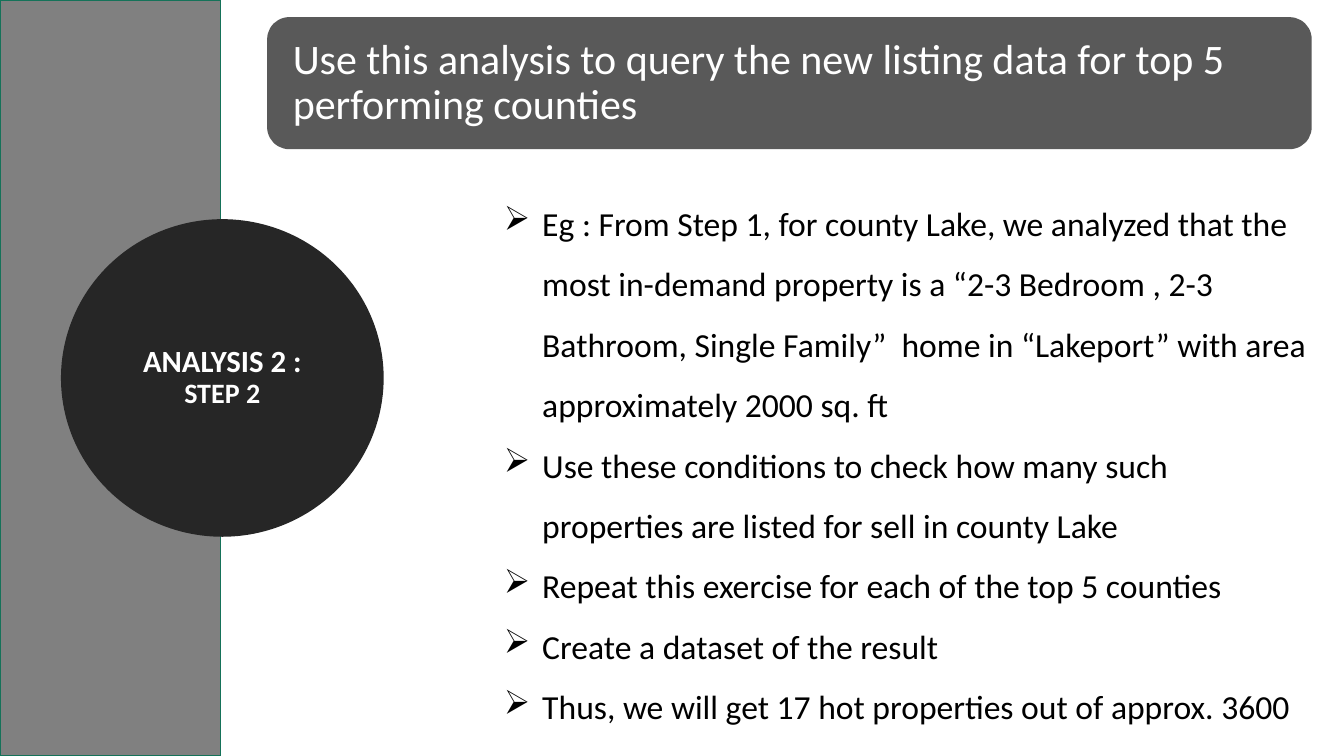
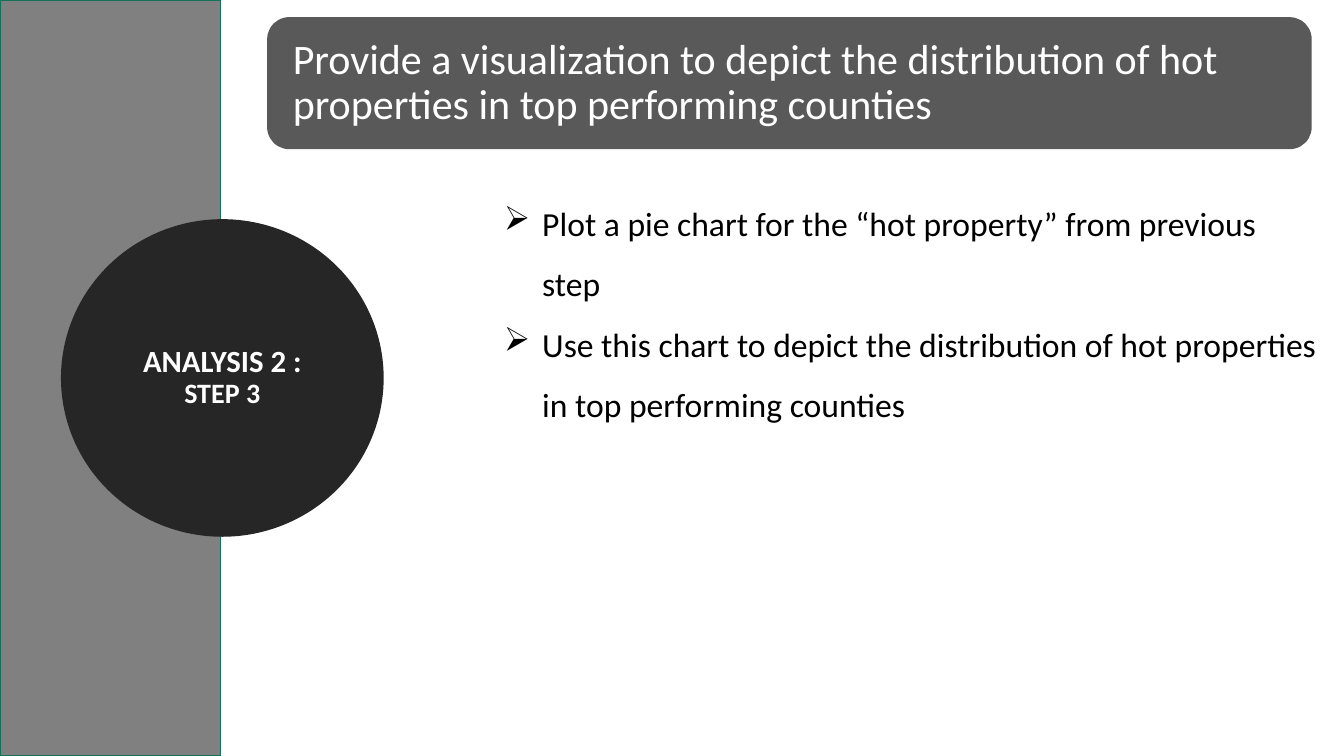
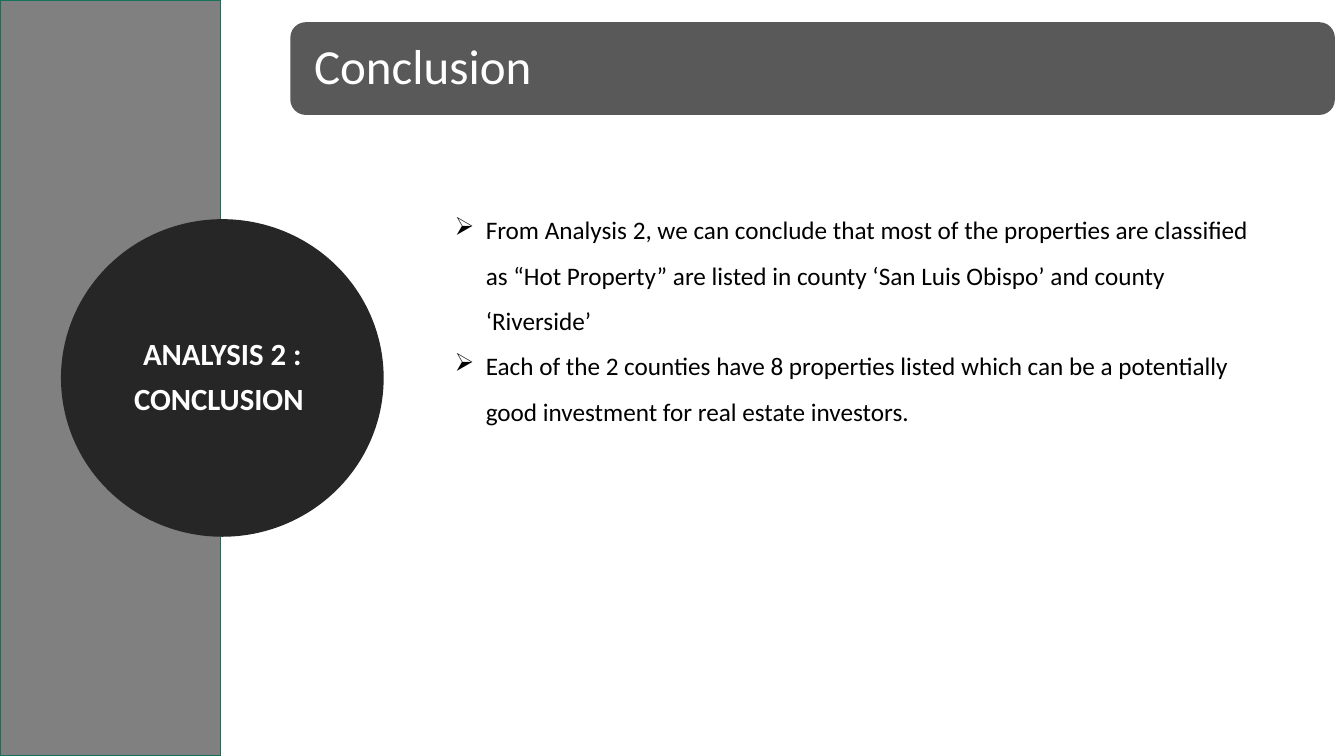
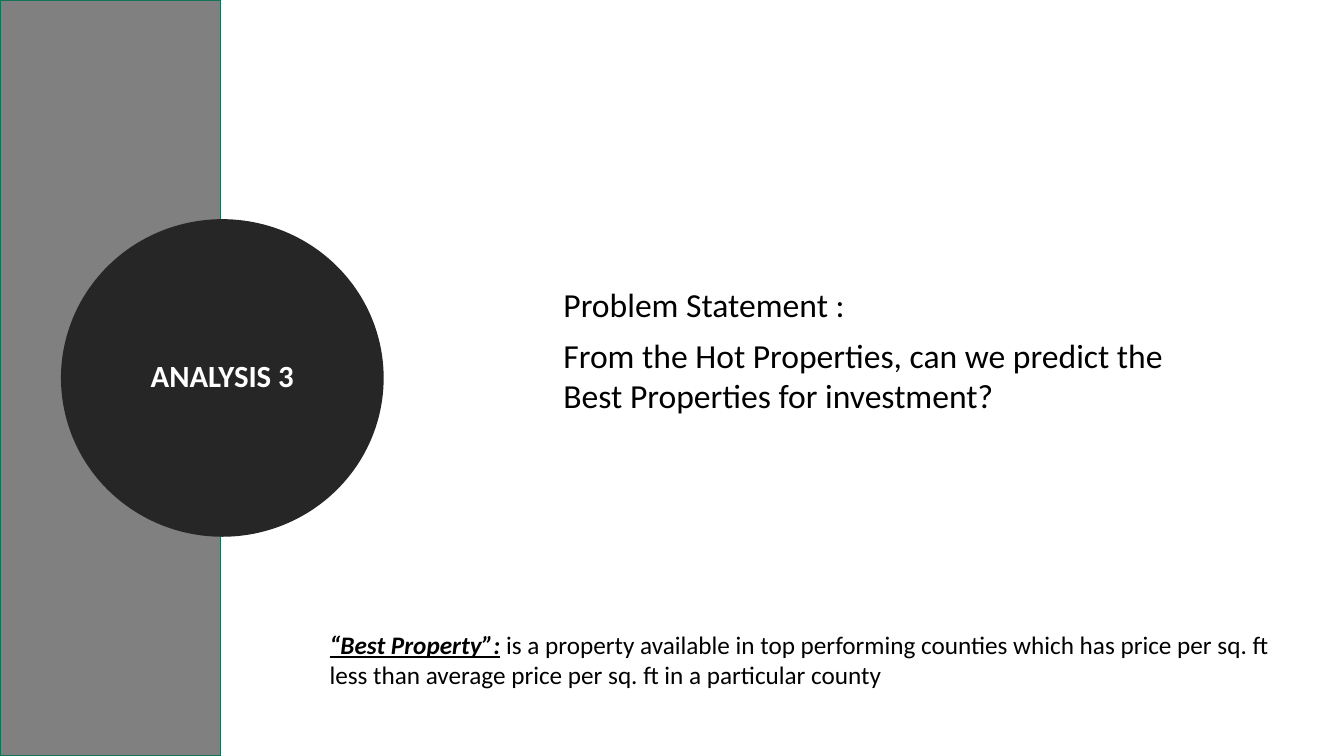
from lxml import etree
from pptx import Presentation
from pptx.dml.color import RGBColor
from pptx.enum.shapes import MSO_SHAPE
from pptx.enum.text import MSO_ANCHOR, PP_ALIGN
from pptx.oxml.ns import qn
from pptx.util import Emu, Pt

PX = 9144  # 100 px to the inch
WIDTH, HEIGHT = 1333, 750

WHITE = RGBColor(0xFF, 0xFF, 0xFF)
BLACK = RGBColor(0x00, 0x00, 0x00)
BAND_GREY = RGBColor(0x80, 0x80, 0x80)
BAND_EDGE = RGBColor(0x15, 0x72, 0x59)
TITLE_GREY = RGBColor(0x59, 0x59, 0x59)
CIRCLE_DARK = RGBColor(0x26, 0x26, 0x26)

RECTANGLE = MSO_SHAPE.RECTANGLE
ROUNDED = MSO_SHAPE.ROUNDED_RECTANGLE
OVAL = MSO_SHAPE.OVAL
TOP, MIDDLE = MSO_ANCHOR.TOP, MSO_ANCHOR.MIDDLE
LEFT, CENTER = PP_ALIGN.LEFT, PP_ALIGN.CENTER

FONT = "Calibri"
BODY = {"alignment": LEFT}
LIST = {"alignment": LEFT, "line_spacing": 1.5}
TITLE = {"alignment": LEFT, "line_spacing": 0.9}
LABEL = {"alignment": CENTER, "line_spacing": 0.9, "space_after": Pt(8)}
BIG_LABEL = {"size": Pt(22), "bold": True}
SMALL_LABEL = {"size": Pt(20), "bold": True}
TERM = {"size": Pt(18), "bold": True, "italic": True, "underline": True}

# Each paragraph of a label is a list of (text, format) spans
pages = [
    {
        "label": [[("ANALYSIS 2 : ", BIG_LABEL), ("STEP 2", SMALL_LABEL)]],
        "title": ("Use this analysis to query the new listing data for top 5 "
                  "performing counties", 30, (265, 17, 1036, 131)),
        "list": ((490, 176, 826, 574), 24, 38, [
            "Eg : From Step 1, for county Lake, we analyzed that the most "
            "in-demand property is a “2-3 Bedroom , 2-3 Bathroom, Single "
            "Family”  home in “Lakeport” with area approximately 2000 sq. ft",
            "Use these conditions to check how many such properties are "
            "listed for sell in county Lake",
            "Repeat this exercise for each of the top 5 counties",
            "Create a dataset of the result",
            "Thus, we will get 17 hot properties out of approx. 3600",
        ]),
    },
    {
        "label": [[("ANALYSIS 2 : ", BIG_LABEL), ("STEP 3", SMALL_LABEL)]],
        "title": ("Provide a visualization to depict the distribution of hot "
                  "properties in top performing counties", 30,
                  (265, 17, 1036, 131)),
        "list": ((490, 176, 826, 515), 24, 38, [
            "Plot a pie chart for the “hot property” from previous step",
            "Use this chart to depict the distribution of hot properties in "
            "top performing counties",
        ]),
    },
    {
        "label": [[("ANALYSIS 2 :", BIG_LABEL)],
                  [("CONCLUSION ", BIG_LABEL)]],
        "title": ("Conclusion", 35, (288, 22, 1036, 92)),
        "list": ((441, 193, 810, 233), 18, 31, [
            "From Analysis 2, we can conclude that most of the properties are "
            "classified as “Hot Property” are listed in county ‘San Luis "
            "Obispo’ and county ‘Riverside’",
            "Each of the 2 counties have 8 properties listed which can be a "
            "potentially good investment for real estate investors.",
        ]),
    },
    {
        "label": [[("ANALYSIS 3", BIG_LABEL)]],
        "notes": [
            ((549, 277, 667, 50), [("Problem Statement :", {"size": Pt(24)})]),
            ((549, 327, 667, 91),
             [("From the Hot Properties, can we predict the Best Properties "
               "for investment?", {"size": Pt(24)})]),
            ((317, 619, 960, 71),
             [("“Best Property”:", TERM),
              (" is a property available in top performing counties which "
               "has price per sq. ft less than average price per sq. ft in a "
               "particular county", {"size": Pt(18)})]),
        ],
    },
]


def add_box(page, place, kind=None, fill=None, line=None, weight=1):
    """Add a preset shape, or a text box when no kind is given."""
    place = [Emu(length * PX) for length in place]
    if kind is None:
        return page.shapes.add_textbox(*place)
    box = page.shapes.add_shape(kind, *place)
    box.shadow.inherit = False
    box.fill.solid()
    box.fill.fore_color.rgb = fill
    if line is None:
        box.line.fill.background()
    else:
        box.line.color.rgb = line
        box.line.width = Pt(weight)
    return box


def write(box, paragraphs, style, color, anchor=TOP, side=10, indent=0):
    """Fill a box with paragraphs of spans, bulleted when indented."""
    frame = box.text_frame
    frame.word_wrap = True
    frame.vertical_anchor = anchor
    frame.margin_left = frame.margin_right = Emu(side * PX)
    for number, spans in enumerate(paragraphs):
        para = frame.paragraphs[0] if number == 0 else frame.add_paragraph()
        for name, value in style.items():
            setattr(para, name, value)
        if indent:
            properties = para._p.get_or_add_pPr()
            properties.set("marL", str(indent * PX))
            properties.set("indent", str(-indent * PX))
            etree.SubElement(properties, qn("a:buChar")).set("char", "➢")
        for text, formats in spans:
            span = para.add_run()
            span.text = text
            span.font.name = FONT
            span.font.color.rgb = color
            for name, value in formats.items():
                setattr(span.font, name, value)


deck = Presentation()
deck.slide_width = Emu(WIDTH * PX)
deck.slide_height = Emu(HEIGHT * PX)

for content in pages:
    page = deck.slides.add_slide(deck.slide_layouts[6])

    # Side band and circle label
    add_box(page, (0, 0, 219, HEIGHT), RECTANGLE, BAND_GREY, BAND_EDGE)
    circle = add_box(page, (70, 227, 301, 296), OVAL, CIRCLE_DARK,
                     CIRCLE_DARK, 13.75)
    write(circle, content["label"], LABEL, WHITE, MIDDLE)

    # Title bar
    if "title" in content:
        text, size, place = content["title"]
        bar = add_box(page, place, ROUNDED, TITLE_GREY)
        write(bar, [[(text, {"size": Pt(size)})]], TITLE, WHITE, MIDDLE, 19)

    # Bulleted list
    if "list" in content:
        place, size, indent, items = content["list"]
        write(add_box(page, place),
              [[(item, {"size": Pt(size)})] for item in items],
              LIST, BLACK, indent=indent)

    # Plain text
    for place, spans in content.get("notes", []):
        write(add_box(page, place), [spans], BODY, BLACK)

deck.save("out.pptx")
